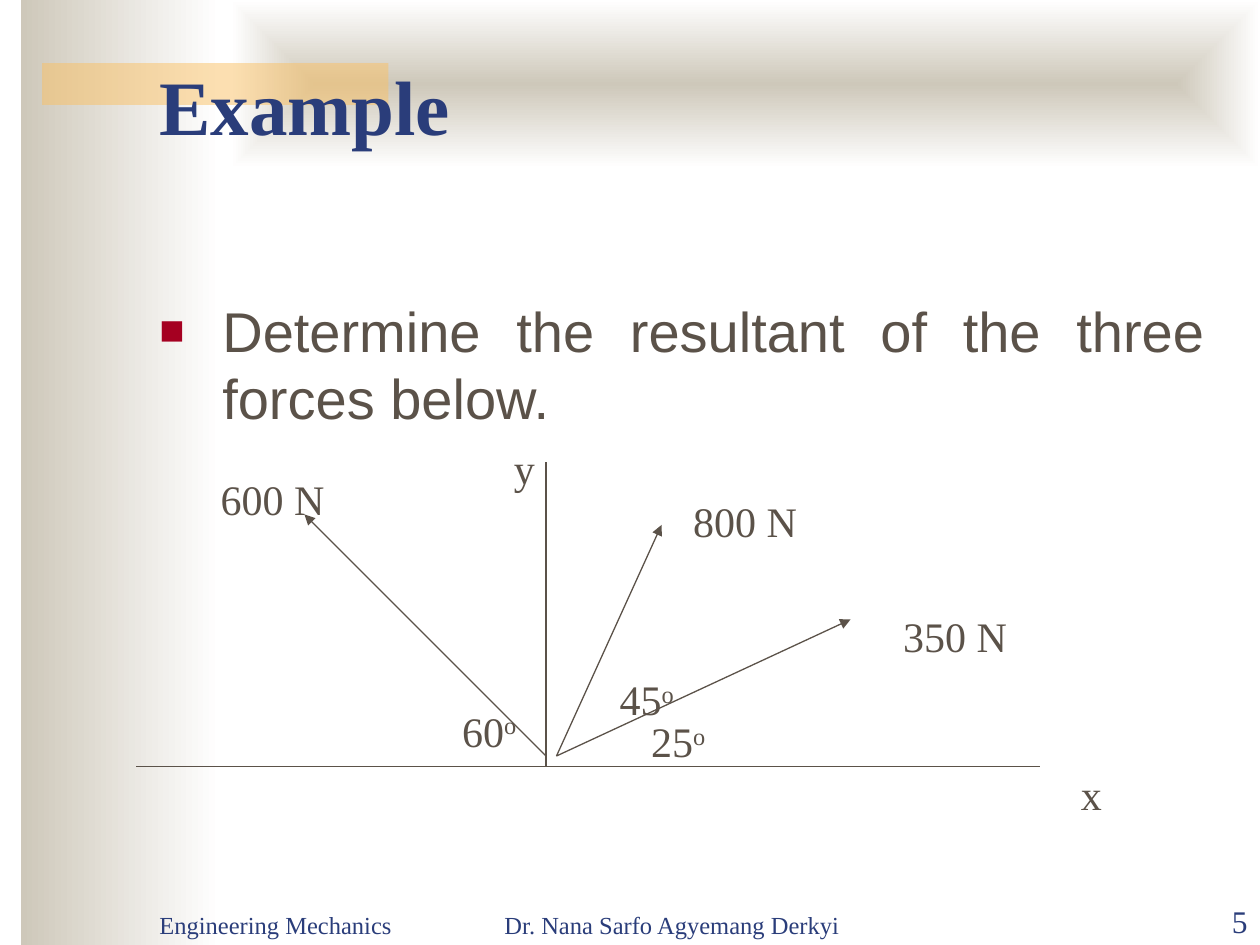
from dataclasses import dataclass

import lxml.etree
import pptx
import pptx.dml.color
import pptx.enum.shapes
import pptx.enum.text
import pptx.oxml.ns
import pptx.util

Pt = pptx.util.Pt
qn = pptx.oxml.ns.qn
ALIGN = pptx.enum.text.PP_ALIGN
ANCHOR = pptx.enum.text.MSO_ANCHOR

COLOURS = {
    "sand": "CEC8BA",
    "white": "FFFFFF",
    "amber": "FAC164",
    "navy": "2A3D7A",
    "brown": "5B5249",
    "bullet": "A50021",
}
SERIF = "Times New Roman"


@dataclass
class Text:
    words: str
    left: float
    top: float
    width: float
    height: float = 36
    size: float = 24
    colour: str = "brown"
    font: str = SERIF
    bold: bool = False
    align: ALIGN = ALIGN.LEFT
    anchor: ANCHOR = ANCHOR.TOP
    wrap: bool = True
    superscript: str = ""


@dataclass
class Line:
    start: tuple[float, float]
    end: tuple[float, float]
    arrow: bool = False


def rgb(name: str) -> pptx.dml.color.RGBColor:
    return pptx.dml.color.RGBColor.from_string(COLOURS[name])


def add_child(parent, tag: str, **attributes: str):
    child = lxml.etree.SubElement(parent, qn(tag))
    for name, value in attributes.items():
        child.set(name, value)
    return child


def add_block(slide, left: float, top: float, width: float, height: float):
    block = slide.shapes.add_shape(
        pptx.enum.shapes.MSO_SHAPE.RECTANGLE, Pt(left), Pt(top), Pt(width), Pt(height)
    )
    block.shadow.inherit = False
    block.line.fill.background()
    return block


def fade_to_white(block) -> None:
    block.fill.gradient()
    block.fill.gradient_angle = 0
    for stop, name in zip(block.fill.gradient_stops, ("sand", "white")):
        stop.color.rgb = rgb(name)


def fade_from_centre(block) -> None:
    fade_to_white(block)
    gradient = block._element.spPr.find(qn("a:gradFill"))
    gradient.remove(gradient.find(qn("a:lin")))
    shade = add_child(gradient, "a:path", path="shape")
    add_child(shade, "a:fillToRect", l="50000", t="50000", r="50000", b="50000")


def add_text(slide, text: Text):
    box = slide.shapes.add_textbox(
        Pt(text.left), Pt(text.top), Pt(text.width), Pt(text.height)
    )
    frame = box.text_frame
    frame.word_wrap = text.wrap
    frame.vertical_anchor = text.anchor
    paragraph = frame.paragraphs[0]
    paragraph.alignment = text.align
    paragraph.add_run().text = text.words
    if text.superscript:
        raised = paragraph.add_run()
        raised.text = text.superscript
        raised.font._element.set("baseline", "30000")
    return paragraph, text


def style_text(paragraph, text: Text) -> None:
    font = paragraph.font
    font.name = text.font
    font.size = Pt(text.size)
    font.bold = text.bold
    font.color.rgb = rgb(text.colour)


def add_square_bullet(paragraph) -> None:
    properties = paragraph._p.get_or_add_pPr()
    properties.set("marL", str(Pt(36)))
    properties.set("indent", str(-Pt(36)))
    add_child(add_child(properties, "a:buClr"), "a:srgbClr", val=COLOURS["bullet"])
    add_child(properties, "a:buSzPct", val="75000")
    add_child(properties, "a:buFont", typeface="Arial")
    add_child(properties, "a:buChar", char="■")


def add_line(slide, line: Line) -> None:
    connector = slide.shapes.add_connector(
        pptx.enum.shapes.MSO_CONNECTOR.STRAIGHT,
        *(Pt(value) for value in line.start + line.end),
    )
    connector.line.color.rgb = rgb("brown")
    connector.line.width = Pt(0.75)
    if line.arrow:
        add_child(connector.line._get_or_add_ln(), "a:tailEnd", type="triangle")
    add_child(connector._element.spPr, "a:effectLst")


def label(words: str, left: float, top: float, width: float, superscript: str = "") -> Text:
    return Text(words, left, top, width, wrap=False, superscript=superscript)


def footer(words: str, left: float, width: float, align: ALIGN, size: float = 14) -> Text:
    return Text(words, left, 504.5, width, size=size, colour="navy",
                align=align, anchor=ANCHOR.BOTTOM)


TITLE = Text("Example", 84, 0, 612, 90, size=44, colour="navy", bold=True,
             anchor=ANCHOR.BOTTOM)
TASK = Text("Determine the resultant of the three forces below.", 84, 165.6, 612, 84,
            size=32, font="Arial", align=ALIGN.JUSTIFY)

ORIGIN_X, AXIS_Y = 312, 438
RIGHT_FOOT = (318, 432)
LINES = [
    Line((78, AXIS_Y), (594, AXIS_Y)),
    Line((ORIGIN_X, AXIS_Y), (ORIGIN_X, 264)),
    Line(RIGHT_FOOT, (486, 354), arrow=True),
    Line(RIGHT_FOOT, (378, 300), arrow=True),
    Line((ORIGIN_X, 432), (174, 294), arrow=True),
]

ANGLE_WIDTH, FORCE_WIDTH, AXIS_WIDTH = 46.8, 74.2, 26.6
LABELS = [
    label("25", 365, 405.4, ANGLE_WIDTH, "o"),
    label("45", 347, 381.6, ANGLE_WIDTH, "o"),
    label("60", 257, 399.6, ANGLE_WIDTH, "o"),
    label("350 N", 509, 345.6, FORCE_WIDTH),
    label("800 N", 389, 279.4, FORCE_WIDTH),
    label("600 N", 119, 267.1, FORCE_WIDTH),
    label("y", 286.6, 249.1, AXIS_WIDTH),
    label("x", 610.6, 435.6, AXIS_WIDTH),
]
FOOTERS = [
    footer("5", 648, 72, ALIGN.RIGHT, size=18),
    footer("Dr. Nana Sarfo Agyemang Derkyi", 270, 228, ALIGN.CENTER),
    footer("Engineering Mechanics", 84, 150, ALIGN.LEFT),
]


def main() -> None:
    deck = pptx.Presentation()
    deck.slide_width, deck.slide_height = Pt(720), Pt(540)
    slide = deck.slides.add_slide(deck.slide_layouts[6])

    fade_to_white(add_block(slide, 12, 0, 114, 540))
    fade_from_centre(add_block(slide, 132, 0, 588, 96))
    accent = add_block(slide, 24, 36, 198, 24)
    accent.fill.solid()
    accent.fill.fore_color.rgb = rgb("amber")
    accent_colour = accent._element.spPr.find(qn("a:solidFill")).find(qn("a:srgbClr"))
    add_child(accent_colour, "a:alpha", val="50000")

    style_text(*add_text(slide, TITLE))
    task, _ = add_text(slide, TASK)
    add_square_bullet(task)
    style_text(task, TASK)

    for line in LINES:
        add_line(slide, line)
    for text in LABELS + FOOTERS:
        style_text(*add_text(slide, text))

    deck.save("out.pptx")


if __name__ == "__main__":
    main()
